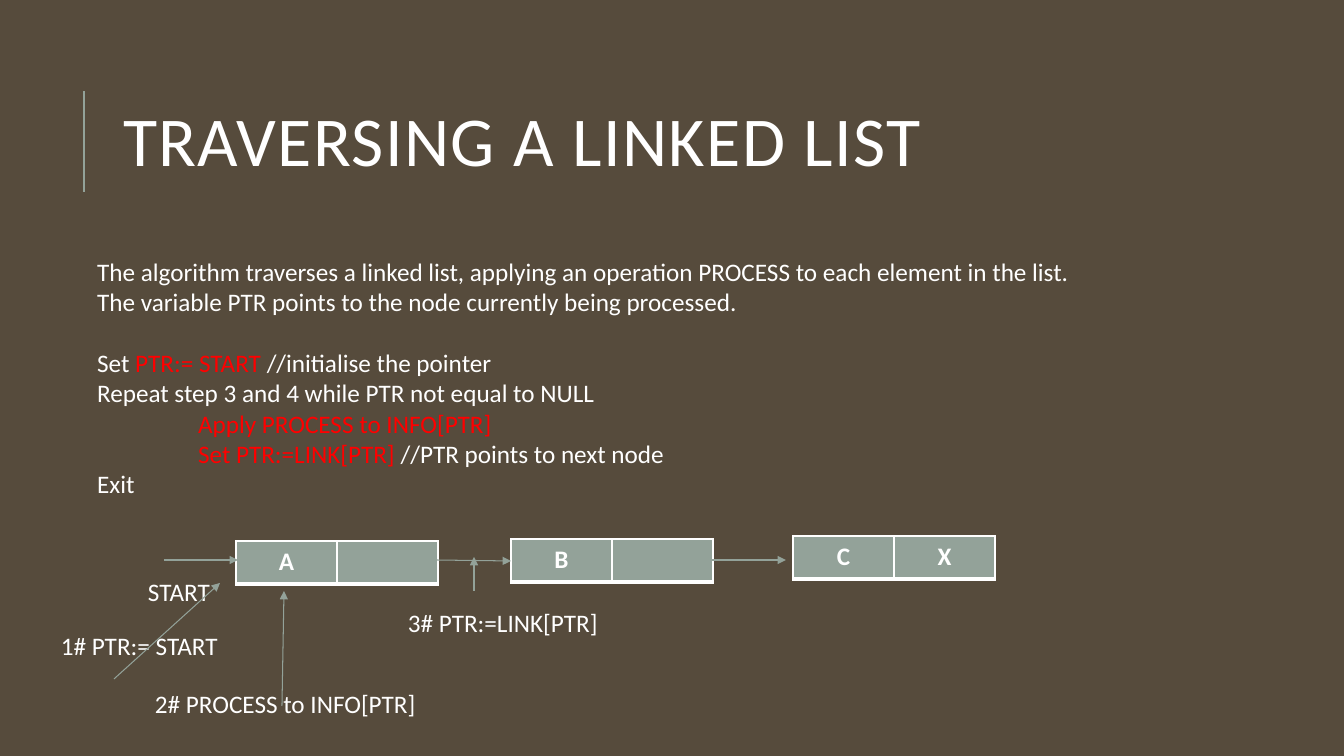
from lxml import etree
from pptx import Presentation
from pptx.dml.color import RGBColor
from pptx.enum.shapes import MSO_CONNECTOR
from pptx.enum.text import MSO_ANCHOR, MSO_AUTO_SIZE, PP_ALIGN
from pptx.oxml.ns import qn
from pptx.util import Pt

LINE = MSO_CONNECTOR.STRAIGHT
TOP, MIDDLE = MSO_ANCHOR.TOP, MSO_ANCHOR.MIDDLE
NONE, GROW = MSO_AUTO_SIZE.NONE, MSO_AUTO_SIZE.SHAPE_TO_FIT_TEXT
LEFT, CENTER = PP_ALIGN.LEFT, PP_ALIGN.CENTER

PX = 914400 / 100.8
FONT = "Calibri"
HEX = {"back": "564B3C", "sage": "93A299", "white": "FFFFFF", "red": "FF0000"}
RGB = {name: RGBColor.from_string(code) for name, code in HEX.items()}


def scale(*lengths):
    """Turn px into EMU."""
    return [round(n * PX) for n in lengths]


def style(run, color="white", size=18):
    run.font.name = FONT
    run.font.size = Pt(size)
    run.font.color.rgb = RGB[color]


deck = Presentation()
deck.slide_width, deck.slide_height = scale(1344, 756)
slide = deck.slides.add_slide(deck.slide_layouts[1])
slide.background.fill.solid()
slide.background.fill.fore_color.rgb = RGB["back"]
shapes = slide.shapes

# Title
title = shapes.title
title.left, title.top, title.width, title.height = scale(113, 64, 1072, 165)
frame = title.text_frame
frame.text = "TRAVERSING A LINKED LIST"
frame.auto_size = NONE
frame.vertical_anchor = MIDDLE
para = frame.paragraphs[0]
para.alignment = LEFT
para.line_spacing = 0.8
style(para.runs[0], size=50)
para.runs[0].font._element.set("spc", "100")

# Algorithm: each line is (indent, space before in points, coloured parts)
steps = [
    (0, 0, [("The algorithm traverses a linked list, applying an operation "
             "PROCESS to each element in the list.", "white")]),
    (0, 0, [("The variable PTR points to the node currently being processed.",
             "white")]),
    (0, 22, [("Set ", "white"), ("PTR:= START ", "red"),
             ("//initialise the pointer", "white")]),
    (0, 0, [("Repeat step 3 and 4 while PTR not equal to NULL", "white")]),
    (101, 0, [("Apply PROCESS to INFO[PTR]", "red")]),
    (101, 0, [("Set PTR:=LINK[PTR] ", "red"),
              ("//PTR points to next node", "white")]),
    (0, 0, [("Exit", "white")]),
]
body = slide.placeholders[1]
body.left, body.top, body.width, body.height = scale(87, 251, 1174, 285)
frame = body.text_frame
frame.auto_size = NONE
frame.vertical_anchor = TOP
for i, (indent, gap, parts) in enumerate(steps):
    para = frame.add_paragraph() if i else frame.paragraphs[0]
    para.space_before = Pt(gap)
    props = para._p.get_or_add_pPr()
    props.set("marL", str(scale(indent)[0]))
    props.set("indent", "0")
    etree.SubElement(props, qn("a:buNone"))
    for text, color in parts:
        run = para.add_run()
        run.text = text
        style(run, color)

# Nodes
nodes = [(236, 541, ("A", "")), (511, 539, ("B", "")), (793, 536, ("C", "X"))]
edges = {"L": 1, "R": 1, "T": 1, "B": 3}
for x, y, words in nodes:
    table = shapes.add_table(1, 2, *scale(x, y, 202, 43)).table
    table.horz_banding = False
    for cell, word in zip(table.rows[0].cells, words):
        cell.text = word
        para = cell.text_frame.paragraphs[0]
        para.alignment = CENTER
        for run in para.runs:
            style(run)
            run.font.bold = True
        props = cell._tc.get_or_add_tcPr()
        for side, width in edges.items():
            edge = etree.SubElement(props, qn(f"a:ln{side}"), w=str(Pt(width)))
            fill = etree.SubElement(edge, qn("a:solidFill"))
            etree.SubElement(fill, qn("a:srgbClr"), val=HEX["white"])
        cell.fill.solid()
        cell.fill.fore_color.rgb = RGB["sage"]

# Labels
labels = [
    ("START", 138, 571, 83),
    ("1# PTR:= START", 51, 625, 187),
    ("2# PROCESS to INFO[PTR]", 145, 683, 293),
    ("3# PTR:=LINK[PTR]", 398, 602, 222),
]
for text, x, y, width in labels:
    frame = shapes.add_textbox(*scale(x, y, width, 40)).text_frame
    frame.text = text
    frame.word_wrap = False
    frame.auto_size = GROW
    style(frame.paragraphs[0].runs[0])

# Title rule and arrows: ends, width in points, arrowhead
lines = [
    (84, 192, 84, 91, 1.5, False),
    (437, 560, 511, 561, 0.75, True),
    (710, 560, 786, 560, 0.75, True),
    (164, 560, 238, 560, 0.75, True),
    (282, 706, 284, 591, 0.75, True),
    (114, 679, 220, 583, 0.75, True),
    (474, 591, 474, 557, 0.75, True),
]
for *ends, width, head in lines:
    link = shapes.add_connector(LINE, *scale(*ends))
    link.line.color.rgb = RGB["sage"]
    link.line.width = Pt(width)
    if head:
        etree.SubElement(link.line._get_or_add_ln(), qn("a:tailEnd"), type="triangle")
    etree.SubElement(link._element.spPr, qn("a:effectLst"))

deck.save("out.pptx")
